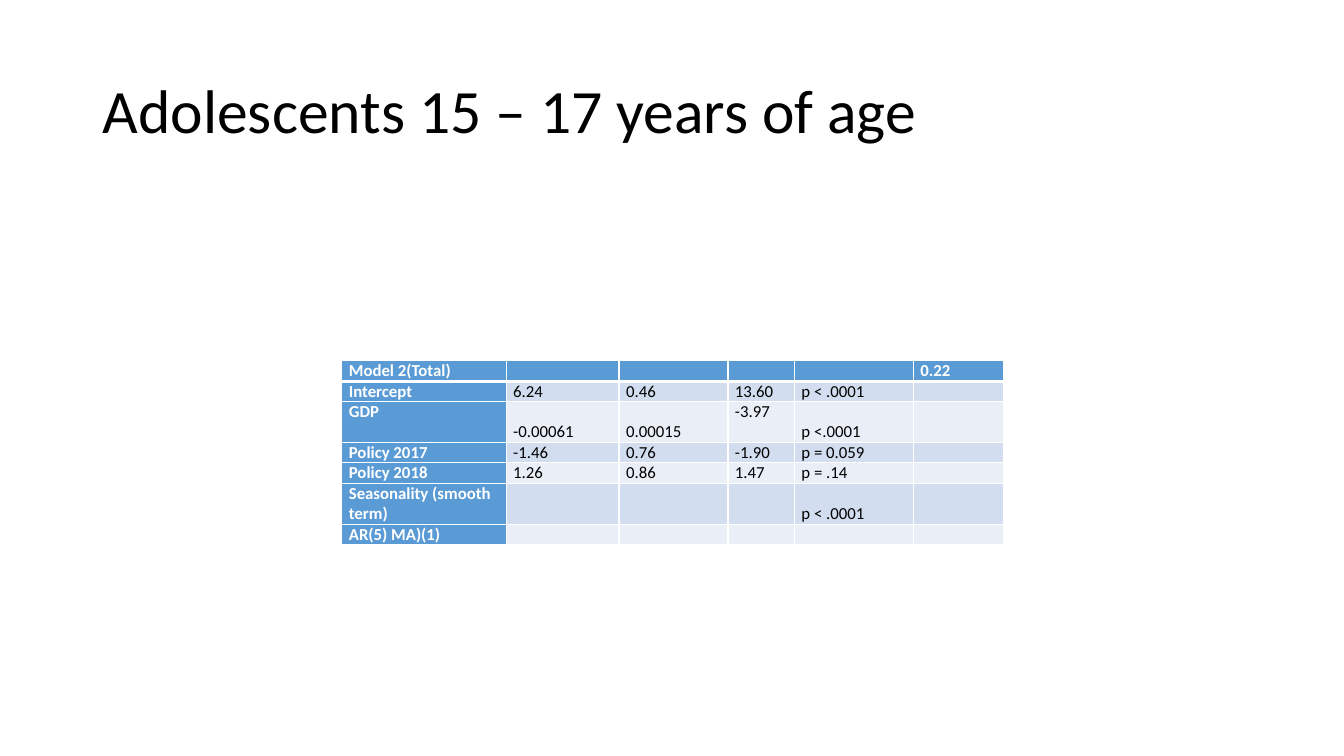
"""Build a slide with a regression table for adolescents 15 – 17 years of age."""
import pptx
import pptx.dml.color
import pptx.enum.text
import pptx.oxml.ns
import pptx.util
import lxml.etree

TITLE = "Adolescents 15 – 17 years of age"
ROWS = [
    ("Model 2(Total)", "", "", "", "", "0.22"),
    ("Intercept", "6.24", "0.46", "13.60", "p < .0001", ""),
    ("GDP", "-0.00061", "0.00015", "-3.97", "p <.0001", ""),
    ("Policy 2017", "-1.46", "0.76", "-1.90", "p = 0.059", ""),
    ("Policy 2018", "1.26", "0.86", "1.47", "p = .14", ""),
    ("Seasonality (smooth term)", "", "", "", "p < .0001", ""),
    ("AR(5) MA)(1)", "", "", "", "", ""),
]
COLUMN_WIDTHS = (1.63, 1.12, 1.08, 0.66, 1.18, 0.89)
LINES_PER_ROW = (1, 1, 2, 1, 1, 2, 1)
LINE_HEIGHT = 0.2
TOP_ALIGNED_VALUES = {"-3.97"}
FONT = "Calibri"
BLACK, WHITE, HEADER = "000000", "FFFFFF", "5B9BD5"
BANDS = ("EAEFF7", "D2DEEF")
TOP = pptx.enum.text.MSO_ANCHOR.TOP
MIDDLE = pptx.enum.text.MSO_ANCHOR.MIDDLE
BOTTOM = pptx.enum.text.MSO_ANCHOR.BOTTOM


def color(hex_code):
    """Turn a hex string into a colour."""
    return pptx.dml.color.RGBColor.from_string(hex_code)


def inches(*lengths):
    """Turn numbers into lengths in inches."""
    return [pptx.util.Inches(length) for length in lengths]


def add_element(parent, tag, **attributes):
    """Append an XML element and return it."""
    return lxml.etree.SubElement(parent, pptx.oxml.ns.qn(tag), attributes)


def write(frame, text, size=12, hex_code=BLACK, bold=False, spacing=None):
    """Write one formatted paragraph, keeping the text size when it is empty."""
    paragraph = frame.paragraphs[0]
    paragraph.line_spacing = spacing
    if not text:
        add_element(paragraph._p, "a:endParaRPr", sz=str(size * 100))
        return
    run = paragraph.add_run()
    run.text = text
    run.font.name = FONT
    run.font.size = pptx.util.Pt(size)
    run.font.bold = bold
    run.font.color.rgb = color(hex_code)


def draw_borders(cell, bottom_width, top_width):
    """Give a cell white borders."""
    properties = cell._tc.get_or_add_tcPr()
    widths = {"a:lnL": 1, "a:lnR": 1, "a:lnT": top_width, "a:lnB": bottom_width}
    for tag, width in widths.items():
        line = add_element(properties, tag, w=str(pptx.util.Pt(width)))
        add_element(add_element(line, "a:solidFill"), "a:srgbClr", val=WHITE)


def fill_cell(cell, text, row, column):
    """Format one table cell by its place in the grid."""
    heading = row == 0 or column == 0
    cell.margin_left, cell.margin_right = inches(0.07, 0.07)
    cell.margin_top = cell.margin_bottom = 0
    cell.vertical_anchor = TOP if heading or text in TOP_ALIGNED_VALUES else BOTTOM
    write(cell.text_frame, text, hex_code=WHITE if heading else BLACK, bold=heading)
    draw_borders(cell, 3 if row == 0 else 1, 3 if row == 1 else 1)
    cell.fill.solid()
    cell.fill.fore_color.rgb = color(HEADER if heading else BANDS[row % 2])


def add_title(slide):
    """Place and format the title."""
    title = slide.shapes.title
    title.left, title.top, title.width, title.height = inches(0.92, 0.4, 11.5, 1.45)
    title.text_frame.vertical_anchor = MIDDLE
    write(title.text_frame, TITLE, size=44, spacing=0.9)
    title.text_frame.paragraphs[0].alignment = pptx.enum.text.PP_ALIGN.LEFT


def add_results(slide):
    """Add the table of model results."""
    box = inches(3.39, 3.58, sum(COLUMN_WIDTHS), LINE_HEIGHT * sum(LINES_PER_ROW))
    table = slide.shapes.add_table(len(ROWS), len(COLUMN_WIDTHS), *box).table
    for column, width in zip(table.columns, COLUMN_WIDTHS):
        column.width = pptx.util.Inches(width)
    for row, lines in zip(table.rows, LINES_PER_ROW):
        row.height = pptx.util.Inches(LINE_HEIGHT * lines)
    for row, values in enumerate(ROWS):
        for column, text in enumerate(values):
            fill_cell(table.cell(row, column), text, row, column)


def main():
    """Build and save the presentation."""
    presentation = pptx.Presentation()
    presentation.slide_width, presentation.slide_height = inches(13.33, 7.5)
    slide = presentation.slides.add_slide(presentation.slide_layouts[5])
    add_title(slide)
    add_results(slide)
    presentation.save("out.pptx")


if __name__ == "__main__":
    main()
